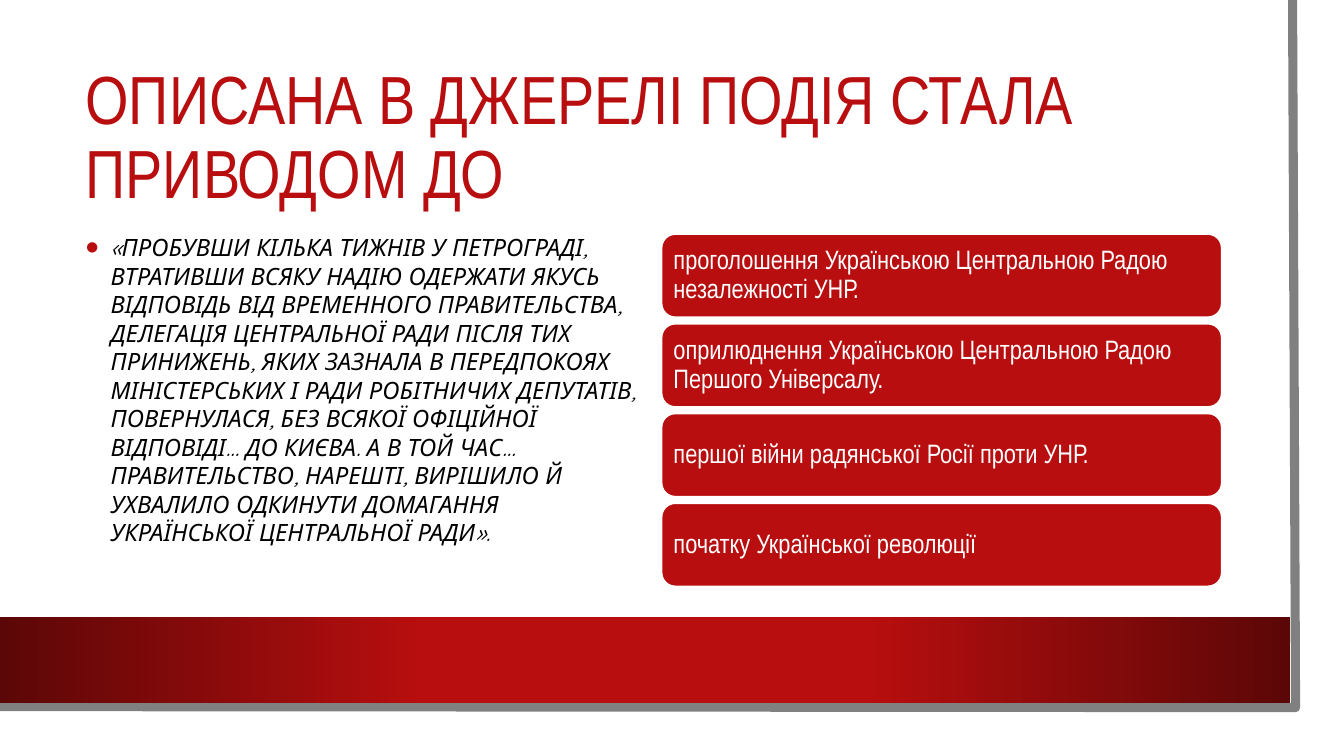
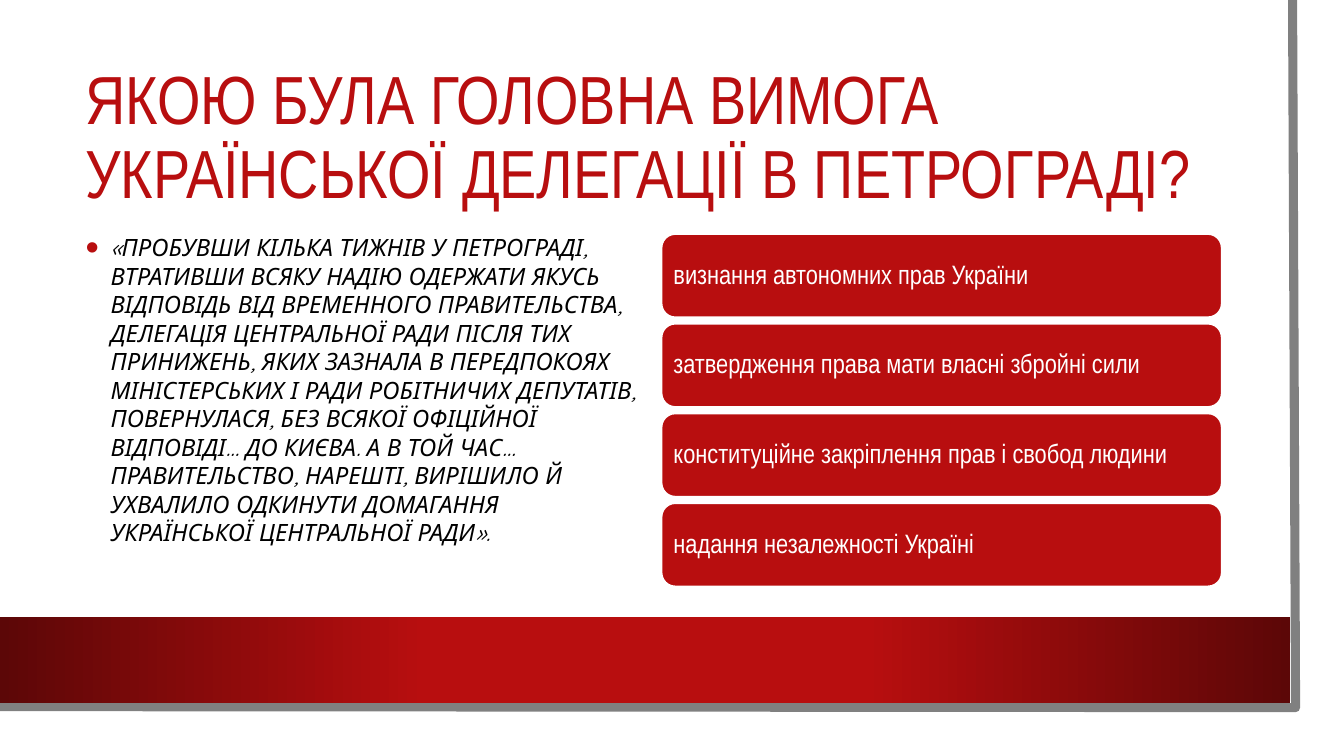
from lxml import etree
from pptx import Presentation
from pptx.dml.color import RGBColor
from pptx.enum.shapes import MSO_SHAPE as Shape
from pptx.enum.text import MSO_ANCHOR as Anchor, PP_ALIGN as Align
from pptx.oxml import parse_xml
from pptx.oxml.ns import nsdecls, qn
from pptx.util import Pt

# Content
QUOTE = (
    "«ПРОБУВШИ КІЛЬКА ТИЖНІВ У ПЕТРОГРАДІ, ВТРАТИВШИ ВСЯКУ НАДІЮ ОДЕРЖАТИ "
    "ЯКУСЬ ВІДПОВІДЬ ВІД ВРЕМЕННОГО ПРАВИТЕЛЬСТВА, ДЕЛЕГАЦІЯ ЦЕНТРАЛЬНОЇ "
    "РАДИ ПІСЛЯ ТИХ ПРИНИЖЕНЬ, ЯКИХ ЗАЗНАЛА В ПЕРЕДПОКОЯХ МІНІСТЕРСЬКИХ І "
    "РАДИ РОБІТНИЧИХ ДЕПУТАТІВ, ПОВЕРНУЛАСЯ, БЕЗ ВСЯКОЇ ОФІЦІЙНОЇ "
    "ВІДПОВІДІ… ДО КИЄВА. А В ТОЙ ЧАС… ПРАВИТЕЛЬСТВО, НАРЕШТІ, ВИРІШИЛО Й "
    "УХВАЛИЛО ОДКИНУТИ ДОМАГАННЯ УКРАЇНСЬКОЇ ЦЕНТРАЛЬНОЇ РАДИ»."
)
SLIDES = [
    ("ОПИСАНА В ДЖЕРЕЛІ ПОДІЯ СТАЛА ПРИВОДОМ ДО", [
        "проголошення Українською Центральною Радою незалежності УНР.",
        "оприлюднення Українською Центральною Радою Першого Універсалу.",
        "першої війни радянської Росії проти УНР.",
        "початку Української революції",
    ]),
    ("ЯКОЮ БУЛА ГОЛОВНА ВИМОГА УКРАЇНСЬКОЇ ДЕЛЕГАЦІЇ В ПЕТРОГРАДІ?", [
        "визнання автономних прав України",
        "затвердження права мати власні збройні сили",
        "конституційне закріплення прав і свобод людини",
        "надання незалежності Україні",
    ]),
]

# Style
RED = RGBColor(0xB8, 0x0E, 0x0F)
DARK = RGBColor(0x5C, 0x07, 0x07)
GREY = RGBColor(0x80, 0x80, 0x80)
WHITE = RGBColor(0xFF, 0xFF, 0xFF)
BLACK = RGBColor(0, 0, 0)
HEAD, BODY = "Arial Narrow", "Quicksand"
FADE = [(0, DARK), (33, RED), (67, RED), (100, DARK)]

# Layout: 100 px to the inch
SCALE = 9144
SIZE = 1333, 750
TITLE = 75, 75, 1137, 127
TEXT = 75, 226, 557, 362
BAND = 0, 612, 1280, 85
FRAME = [(1282, 0), (1285, 702), (0, 701)]
CARD = 656, 232, 556, 83
GAP = 6
INDENT = 25


def px(*vals):
    return [val * SCALE for val in vals]


def write(shape, text, font, size, color, space, pads, anchor, italic=False):
    frame = shape.text_frame
    frame.word_wrap = True
    frame.vertical_anchor = anchor
    (frame.margin_left, frame.margin_top,
     frame.margin_right, frame.margin_bottom) = px(*pads)
    para = frame.paragraphs[0]
    para.alignment = Align.LEFT
    para.line_spacing = space
    run = para.add_run()
    run.text = text
    run.font.name, run.font.size = font, Pt(size)
    run.font.color.rgb, run.font.italic = color, italic
    return para


def bullet(para):
    props = para._p.get_or_add_pPr()
    props.set("marL", str(INDENT * SCALE))
    props.set("indent", str(-INDENT * SCALE))
    color = etree.SubElement(props, qn("a:buClr"))
    etree.SubElement(color, qn("a:srgbClr"), val=str(RED))
    etree.SubElement(props, qn("a:buSzPct"), val="160000")
    etree.SubElement(props, qn("a:buFont"), typeface="Arial")
    etree.SubElement(props, qn("a:buChar"), char="•")


def backdrop(slide):
    # Grey edge along the right and bottom
    start, *rest = FRAME
    path = slide.shapes.build_freeform(*start, scale=SCALE)
    path.add_line_segments(rest, close=False)
    edge = path.convert_to_shape()
    edge.shadow.inherit = False
    edge.fill.background()
    edge.line.color.rgb, edge.line.width = GREY, Pt(6.5)
    # Red band, darker towards both ends
    band = slide.shapes.add_shape(Shape.RECTANGLE, *px(*BAND))
    band.shadow.inherit = False
    band.line.fill.background()
    stops = "".join(
        f'<a:gs pos="{pos * 1000}"><a:srgbClr val="{color}"/></a:gs>'
        for pos, color in FADE)
    fill = parse_xml(f'<a:gradFill {nsdecls("a")}><a:gsLst>{stops}</a:gsLst>'
                     '<a:lin ang="0" scaled="0"/></a:gradFill>')
    band._element.spPr.find(qn("a:prstGeom")).addnext(fill)


def cards(slide, items):
    left, top, width, height = CARD
    for row, text in enumerate(items):
        spot = px(left, top + row * (height + GAP), width, height)
        card = slide.shapes.add_shape(Shape.ROUNDED_RECTANGLE, *spot)
        card.shadow.inherit = False
        card.fill.solid()
        card.fill.fore_color.rgb = RED
        card.line.color.rgb, card.line.width = WHITE, Pt(1.5)
        write(card, text, HEAD, 19, WHITE, 0.9, (8, 8, 8, 8), Anchor.MIDDLE)


def main():
    deck = Presentation()
    deck.slide_width, deck.slide_height = px(*SIZE)
    for title, items in SLIDES:
        slide = deck.slides.add_slide(deck.slide_layouts[6])
        backdrop(slide)
        box = slide.shapes.add_textbox(*px(*TITLE))
        write(box, title, HEAD, 48.6, RED, 0.9, (10, 5, 10, 5), Anchor.MIDDLE)
        box = slide.shapes.add_textbox(*px(*TEXT))
        bullet(write(box, QUOTE, BODY, 17, BLACK, Pt(20.4), (10, 5, 0, 5),
                     Anchor.TOP, italic=True))
        cards(slide, items)
    deck.save("out.pptx")


if __name__ == "__main__":
    main()
